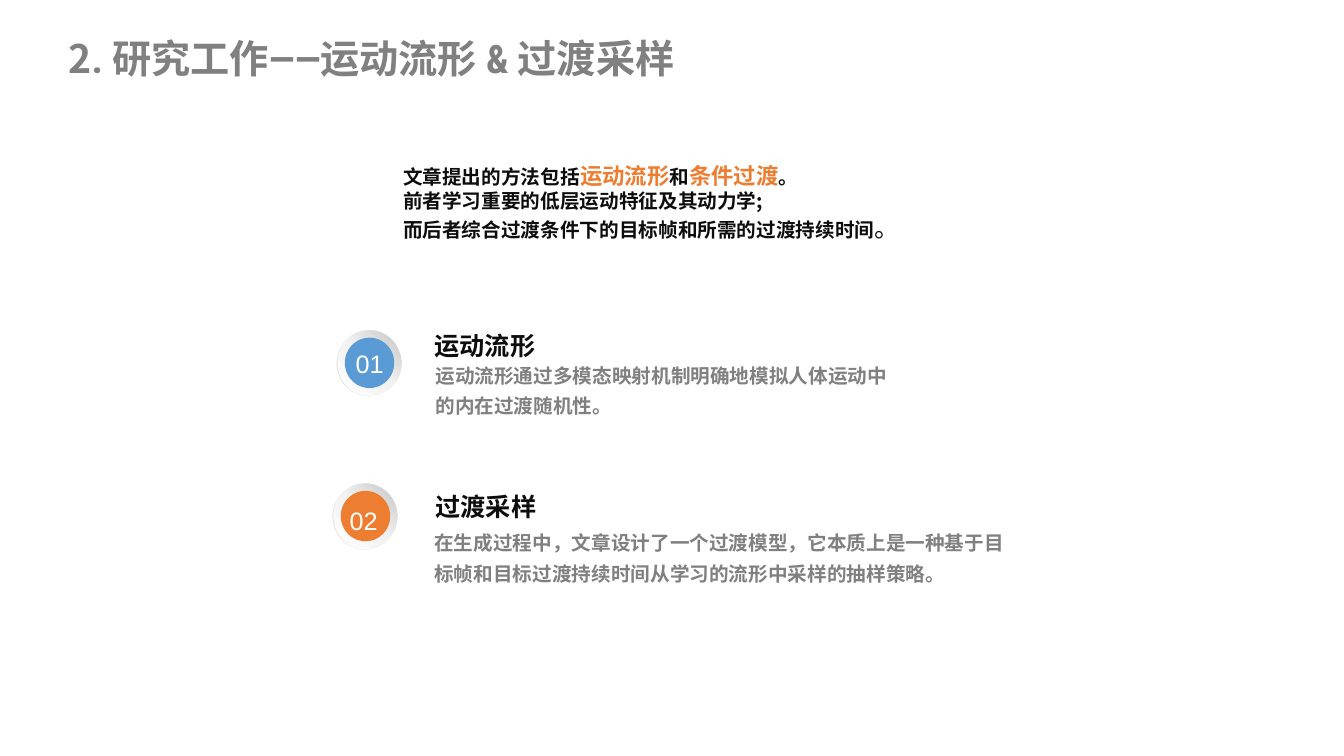
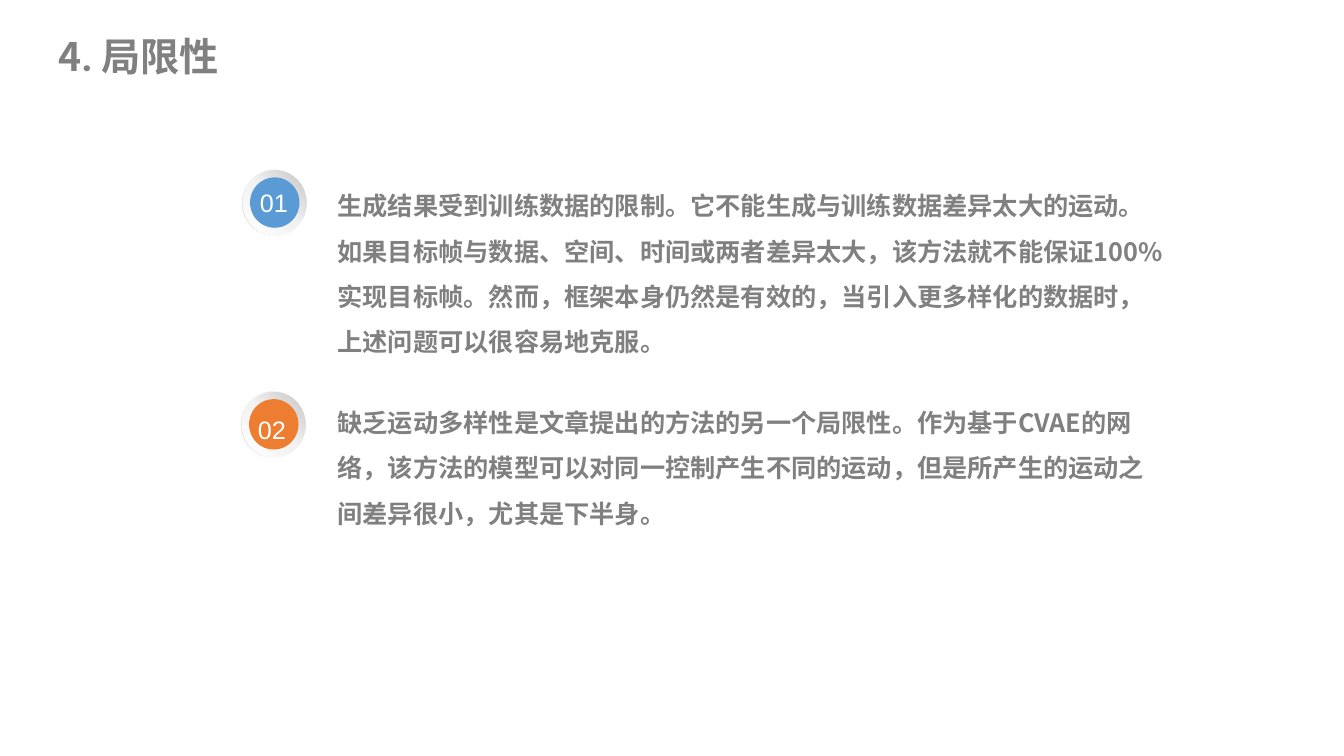
from lxml import etree
from pptx import Presentation
from pptx.dml.color import RGBColor
from pptx.enum.shapes import MSO_SHAPE as Kind
from pptx.enum.text import MSO_ANCHOR as Anchor, MSO_AUTO_SIZE as Auto, PP_ALIGN as Align
from pptx.oxml.ns import nsdecls, qn
from pptx.util import Emu, Pt

PX = 9144  # 100 px to the inch
NOTO, ROBO = "Noto Sans CJK SC", "Roboto Condensed"
GREY, INK, WHITE = "808080", "0D0D0D", "FFFFFF"
BLUE, ORANGE = "5B9BD5", "ED7D31"
RIM = ([(0, "F2F2F2"), (55, "F2F2F2"), (100, "D9D9D9")], 135)
DISH = ([(0, "FFFFFF"), (51, "F2F2F2"), (100, "C5C5C5")], 315)


def write(box, lines, space=1, pad=5, align=Align.LEFT):
    """Fill a box with lines of (text, size, colour, font, bold) runs."""
    frame = box.text_frame
    frame.word_wrap = True
    frame.auto_size = Auto.SHAPE_TO_FIT_TEXT
    frame.vertical_anchor = Anchor.TOP
    frame.margin_left = frame.margin_right = 10 * PX
    frame.margin_top = frame.margin_bottom = pad * PX
    for i, runs in enumerate(lines):
        para = frame.add_paragraph() if i else frame.paragraphs[0]
        para.alignment, para.line_spacing = align, space
        for words, size, tint, face, bold in runs:
            run = para.add_run()
            run.text = words
            font = run.font
            font.size, font.bold, font.name = Pt(size), bold, face
            font.color.rgb = RGBColor.from_string(tint)
            east = etree.SubElement(font._element, qn("a:ea"))
            east.set("typeface", face)


def disc(shapes, kind, area, paint):
    """Draw a round shape with a plain colour or a (stops, angle) blend."""
    shape = shapes.add_shape(kind, *[Emu(n * PX) for n in area])
    if isinstance(paint, str):
        shape.fill.solid()
        shape.fill.fore_color.rgb = RGBColor.from_string(paint)
    else:
        stops, angle = paint
        marks = "".join(f'<a:gs pos="{at * 1000}"><a:srgbClr val="{tint}"/></a:gs>'
                        for at, tint in stops)
        shape._element.spPr.append(etree.fromstring(
            f'<a:gradFill {nsdecls("a")}><a:gsLst>{marks}</a:gsLst>'
            f'<a:lin ang="{angle * 60000}" scaled="0"/></a:gradFill>'))
    shape.line.fill.background()
    shape.shadow.inherit = False
    return shape


# Text styles: size, colour, font, bold
HEAD = (18, INK, NOTO, True)
NOTE = (14, GREY, NOTO, True)
BODY = (18, GREY, NOTO, True)
PLAIN = (14, INK, NOTO, True)
KEY = (16, ORANGE, NOTO, True)

# Slides: title, its area and alignment; badges (x, y, label area); texts
pages = [
    {
        "title": ("2", ". 研究工作——运动流形 & 过渡采样"),
        "area": (58, 29, 815, 57), "align": Align.LEFT,
        "badges": [(334, 327, (343, 341, 54, 40)), (330, 479, (337, 496, 57, 40))],
        "texts": [
            ((390, 156, 780, 91), 1, 5, [
                [("文章提出的方法包括", *PLAIN), ("运动流形", *KEY), ("和", *PLAIN),
                 ("条件过渡", *KEY), ("。", *PLAIN)],
                [("前者学习重要的低层运动特征及其动力学;", *PLAIN)],
                [("而后者综合过渡条件下的目标帧和所需的过渡持续时间", *PLAIN),
                 ("。", 18, INK, "Calibri", False)]]),
            ((421, 313, 288, 40), 1.5, 0, [[("运动流形", *HEAD)]]),
            ((422, 349, 476, 69), 1.3, 5, [
                [("运动流形通过多模态映射机制明确地模拟人体运动中的内在过渡随机性。", *NOTE)]]),
            ((422, 472, 362, 40), 1.5, 0, [[("过渡采样", *HEAD)]]),
            ((421, 515, 600, 99), 1.3, 5, [
                [("在生成过程中，文章设计了一个过渡模型，它本质上是一种基于目标帧和目标过渡"
                  "持续时间从学习的流形中采样的抽样策略。", *NOTE)]]),
        ],
    },
    {
        "title": ("4", ". 局限性"),
        "area": (14, 27, 247, 57), "align": Align.CENTER,
        "badges": [(240, 168, (248, 181, 54, 40)), (239, 388, (246, 406, 57, 40))],
        "texts": [
            ((325, 174, 840, 176), 1.5, 0, [
                [("生成结果受到训练数据的限制。它不能生成与训练数据差异太大的运动。"
                  "如果目标帧与数据、空间、时间或两者差异太大，该方法就不能保证100%实现目标帧。"
                  "然而，框架本身仍然是有效的，当引入更多样化的数据时，"
                  "上述问题可以很容易地克服。", *BODY)]]),
            ((325, 389, 824, 131), 1.5, 0, [
                [("缺乏运动多样性是文章提出的方法的另一个局限性。作为基于CVAE的网络，"
                  "该方法的模型可以对同一控制产生不同的运动，但是所产生的运动之间差异很小，"
                  "尤其是下半身。", *BODY)]]),
        ],
    },
]

deck = Presentation()
deck.slide_width, deck.slide_height = Emu(1333 * PX), Emu(750 * PX)

for page in pages:
    slide = deck.slides.add_slide(deck.slide_layouts[5])
    shapes = slide.shapes

    # Title
    title = shapes.title
    title.left, title.top, title.width, title.height = [Emu(n * PX) for n in page["area"]]
    digit, words = page["title"]
    write(title, [[(digit, 28, GREY, NOTO, True), (words, 28, GREY, ROBO, True)]],
          align=page["align"])

    # Numbered badges
    for i, (x, y, area) in enumerate(page["badges"]):
        ring = disc(shapes, Kind.DONUT, (x, y, 64, 66), RIM)
        ring.adjustments[0] = 0.05
        disc(shapes, Kind.OVAL, (x + 1, y + 1, 63, 65), DISH)
        disc(shapes, Kind.OVAL, (x + 8, y + 8, 49, 50), (BLUE, ORANGE)[i])
        label = shapes.add_textbox(*[Emu(n * PX) for n in area])
        write(label, [[(f"{i + 1:02}", 18, WHITE, "Arial", False)]])

    # Texts
    for area, space, pad, lines in page["texts"]:
        box = shapes.add_textbox(*[Emu(n * PX) for n in area])
        write(box, lines, space, pad)

deck.save("out.pptx")
